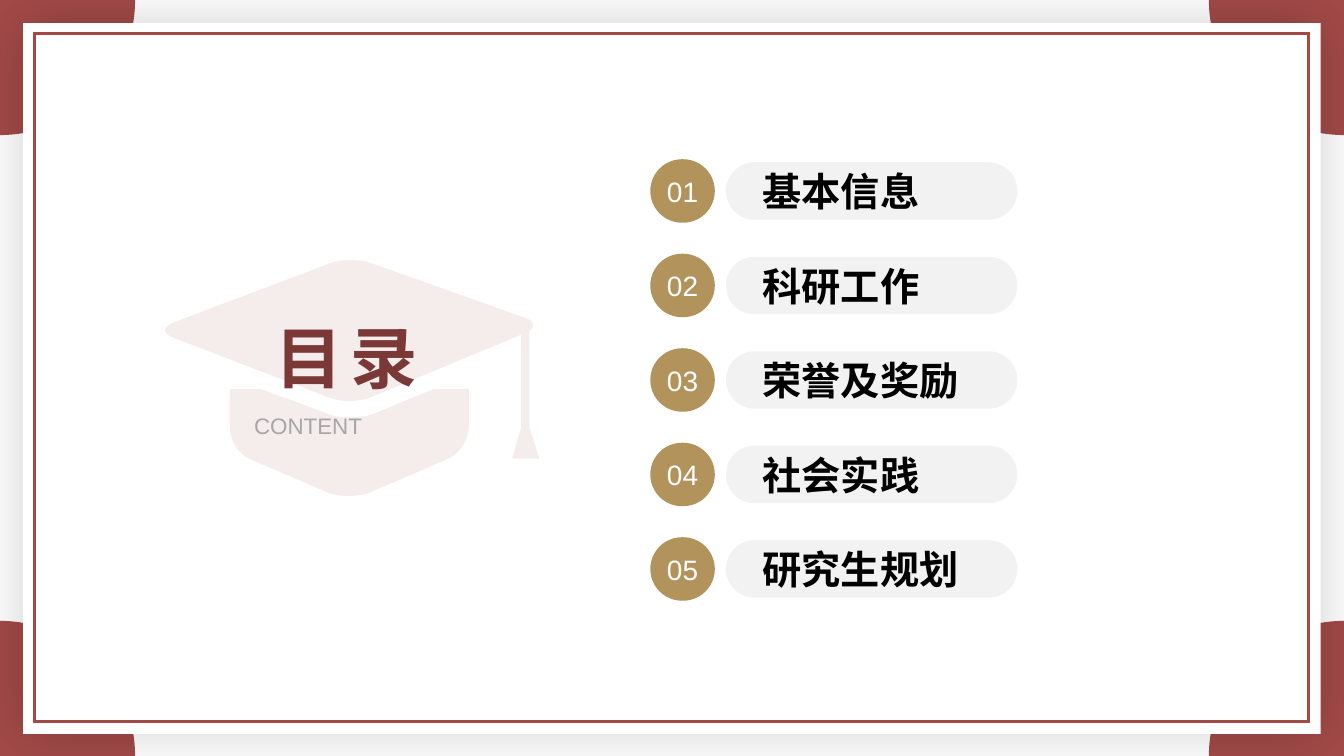
from lxml import etree
from pptx import Presentation
from pptx.dml.color import RGBColor
from pptx.enum.shapes import MSO_SHAPE as Preset
from pptx.enum.text import MSO_ANCHOR as Anchor, MSO_AUTO_SIZE as AutoSize, PP_ALIGN as Align
from pptx.oxml.ns import qn
from pptx.util import Inches, Pt

RED = RGBColor(0xA2, 0x4A, 0x48)
DARK_RED = RGBColor(0x7A, 0x38, 0x36)
GOLD = RGBColor(0xB2, 0x93, 0x5C)
PALE_GREY = RGBColor(0xF2, 0xF2, 0xF2)
MID_GREY = RGBColor(0xA6, 0xA6, 0xA6)
WHITE = RGBColor(0xFF, 0xFF, 0xFF)
BLACK = RGBColor(0, 0, 0)
W, H = 13.33, 7.5
UNITS = 1000  # outline units per inch

deck = Presentation()
deck.slide_width, deck.slide_height = Inches(W), Inches(H)
slide = deck.slides.add_slide(deck.slide_layouts.get_by_name("Title Only"))
shapes = slide.shapes


def write(shape, text, size, color, bold=False, align=Align.LEFT,
          anchor=Anchor.MIDDLE, insets=(0, 0, 0, 0)):
    frame = shape.text_frame
    frame.text = text
    frame.word_wrap, frame.auto_size = True, AutoSize.NONE
    frame.vertical_anchor = anchor
    (frame.margin_left, frame.margin_top,
     frame.margin_right, frame.margin_bottom) = map(Inches, insets)
    line = frame.paragraphs[0]
    line.alignment = align
    font = line.runs[0].font
    font.name, font.size, font.bold = "Arial", Pt(size), bold
    font.color.rgb = color
    return font


def outline(contours):
    """Fill contours made of points (x, y) and cubic curves (x1, y1, x2, y2, x, y)."""
    builder = None
    for contour in contours:
        start, *points = [(round(step[i] * UNITS), round(step[i + 1] * UNITS))
                          for step in contour for i in range(0, len(step), 2)]
        if builder is None:
            builder = shapes.build_freeform(*start, scale=Inches(1) / UNITS)
        else:
            builder.move_to(*start)
        builder.add_line_segments(points, close=True)
    shape = builder.convert_to_shape()

    # Join the three segments of each curve into one cubic
    segments = iter(list(shape._element.iter(qn("a:lnTo"))))
    for step in (step for contour in contours for step in contour[1:]):
        segment = next(segments)
        if len(step) == 6:
            segment.addprevious(curve := etree.Element(qn("a:cubicBezTo")))
            for part in (segment, next(segments), next(segments)):
                curve.append(part[0])
                part.getparent().remove(part)

    shape.shadow.inherit = False
    shape.fill.solid()
    shape.fill.fore_color.rgb = RED
    shape.line.fill.background()
    return shape


# Quarter discs in the four corners
RADIUS, HANDLE = 1.34, 0.74
for y, down in ((0, 1), (H, -1)):
    for x, right in ((0, 1), (W, -1)):
        rim = x + right * RADIUS
        outline([[(x, y), (rim, y),
                  (rim, y + down * HANDLE, x + right * HANDLE, y + down * RADIUS,
                   x, y + down * RADIUS)]])

# White card with a soft shadow
card = shapes.add_shape(Preset.RECTANGLE, *map(Inches, (0.23, 0.23, 12.87, 7.05)))
card.fill.solid()
card.fill.fore_color.rgb = WHITE
card.line.fill.background()
card.shadow.inherit = False
effects = card._element.spPr.find(qn("a:effectLst"))
glow = etree.SubElement(effects, qn("a:outerShdw"), blurRad=str(Pt(40)), dist="0",
                        dir="0", algn="ctr", rotWithShape="0")
glow_color = etree.SubElement(glow, qn("a:srgbClr"), val=str(BLACK))
etree.SubElement(glow_color, qn("a:alpha"), val="18000")

# Red border inside the card, with sharp corners
border = shapes.add_shape(Preset.ROUNDED_RECTANGLE, *map(Inches, (0.34, 0.33, 12.64, 6.83)))
border.adjustments[0] = 0
border.shadow.inherit = False
border.fill.background()
border.line.color.rgb = RED
border.line.width = Pt(2)
etree.SubElement(border._element.spPr.find(qn("a:ln")), qn("a:miter"), lim="800000")

# Graduation cap: base, then board with tassel
cap_base = [(2.28, 3.86), (2.59, 3.86), (3.24, 4.1),
            (3.32, 4.14, 3.41, 4.14, 3.47, 4.14), (3.56, 4.14, 3.65, 4.13, 3.72, 4.1),
            (4.3, 3.86), (4.65, 3.86), (4.65, 4.24),
            (4.65, 4.36, 4.56, 4.5, 4.45, 4.55), (3.66, 4.89),
            (3.55, 4.93, 3.37, 4.93, 3.26, 4.89), (2.47, 4.55),
            (2.36, 4.5, 2.28, 4.36, 2.28, 4.24)]
cap_board = [(3.48, 2.58), (3.55, 2.58, 3.63, 2.59, 3.68, 2.61), (5.2, 3.15),
             (5.3, 3.18, 5.31, 3.24, 5.25, 3.28), (5.25, 4.24), (5.35, 4.55),
             (5.08, 4.55), (5.17, 4.24), (5.17, 3.32), (3.68, 3.94),
             (3.57, 3.99, 3.39, 3.99, 3.28, 3.95), (1.72, 3.35),
             (1.61, 3.31, 1.61, 3.24, 1.72, 3.2), (3.28, 2.61),
             (3.33, 2.59, 3.41, 2.58, 3.48, 2.58)]
cap = outline([cap_base, cap_board])
cap_color = cap._element.spPr.find(qn("a:solidFill"))[0]
etree.SubElement(cap_color, qn("a:alpha"), val="10000")

# Heading, brought in front of the cap
heading = shapes.title
heading.left, heading.top, heading.width, heading.height = map(Inches, (2.73, 3.14, 1.53, 0.81))
heading_font = write(heading, "目录", size=48, color=DARK_RED, bold=True,
                     align=Align.JUSTIFY, anchor=Anchor.TOP)
heading_font._element.set("spc", "600")
cap._element.addnext(heading._element)

subheading = shapes.add_textbox(*map(Inches, (2.52, 4.09, 1.93, 0.27)))
write(subheading, "CONTENT", size=16, color=MID_GREY, align=Align.JUSTIFY, anchor=Anchor.TOP)

# Numbered chapters, one row every eighth of the slide's height
chapters = ["基本信息", "科研工作", "荣誉及奖励", "社会实践", "研究生规划"]
for row, chapter in enumerate(chapters):
    offset = row * H / 8
    pill = shapes.add_shape(Preset.ROUNDED_RECTANGLE,
                            *map(Inches, (7.2, 1.61 + offset, 2.89, 0.57)))
    badge = shapes.add_shape(Preset.ROUNDED_RECTANGLE,
                             *map(Inches, (6.45, 1.58 + offset, 0.64, 0.63)))
    for part, color in ((pill, PALE_GREY), (badge, GOLD)):
        part.adjustments[0] = 0.5
        part.shadow.inherit = False
        part.fill.solid()
        part.fill.fore_color.rgb = color
        part.line.fill.background()
    write(pill, chapter, size=28, color=BLACK, bold=True, insets=(0.28, 0.05, 0.1, 0.05))
    write(badge, f"{row + 1:02}", size=20, color=WHITE, align=Align.CENTER)

deck.save("out.pptx")
